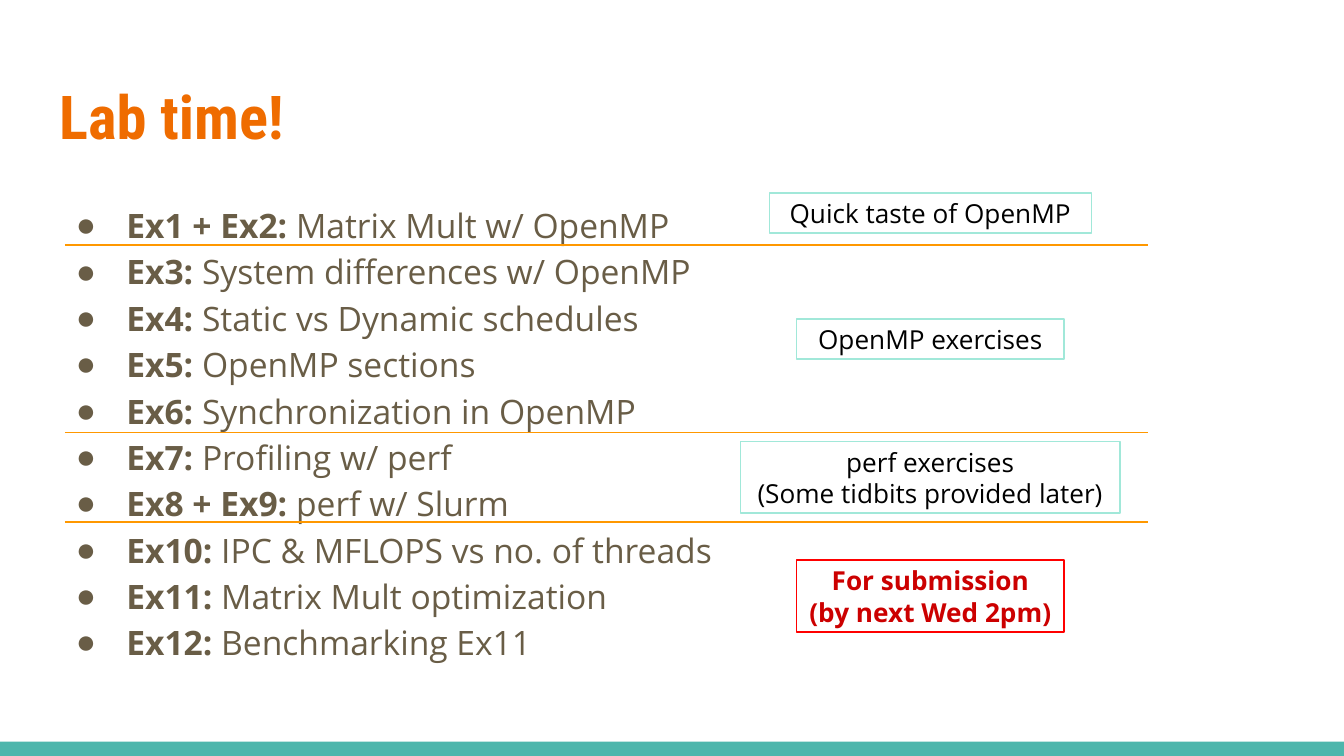
"""Build the lab exercise overview slide."""
from dataclasses import dataclass

from lxml import etree
from pptx import Presentation
from pptx.dml.color import RGBColor
from pptx.enum import shapes, text
from pptx.oxml import ns
from pptx.util import Pt


@dataclass(frozen=True)
class Theme:
    heading_font: str = "Roboto Condensed"
    body_font: str = "Open Sans"
    title_size: float = 32.4
    body_size: float = 18
    callout_size: float = 14
    title: str = "EF6C00"
    body: str = "695D46"
    bar: str = "4DB6AC"
    rule: str = "FF9800"
    mint: str = "A1E8D9"
    red: str = "FF0000"
    dark_red: str = "CC0000"
    black: str = "000000"


@dataclass(frozen=True)
class Exercise:
    label: str
    topic: str


@dataclass(frozen=True)
class Callout:
    words: str
    top: float
    width: float
    height: float
    line: str
    color: str
    bold: bool = False


THEME = Theme()
WIDTH, HEIGHT = 720, 405
BAR_HEIGHT = 7.6
RULE_LEFT, RULE_RIGHT = 34.8, 615
RULES = (131.2, 231.8, 279.6)
CALLOUT_CENTER = 498.4

EXERCISES = (
    Exercise("Ex1 + Ex2:", "Matrix Mult w/ OpenMP"),
    Exercise("Ex3:", "System differences w/ OpenMP"),
    Exercise("Ex4:", "Static vs Dynamic schedules"),
    Exercise("Ex5:", "OpenMP sections"),
    Exercise("Ex6:", "Synchronization in OpenMP"),
    Exercise("Ex7:", "Profiling w/ perf"),
    Exercise("Ex8 + Ex9:", "perf w/ Slurm"),
    Exercise("Ex10:", "IPC & MFLOPS vs no. of threads"),
    Exercise("Ex11:", "Matrix Mult optimization"),
    Exercise("Ex12:", "Benchmarking Ex11"),
)

CALLOUTS = (
    Callout("Quick taste of OpenMP", 103.4, 172.6, 21.4, THEME.mint, THEME.black),
    Callout("OpenMP exercises", 170.9, 143.4, 21.4, THEME.mint, THEME.black),
    Callout("perf exercises\n(Some tidbits provided later)", 236.5, 203.2, 38.4,
            THEME.mint, THEME.black),
    Callout("For submission\v(by next Wed 2pm)", 300.1, 143.4, 38.4,
            THEME.red, THEME.dark_red, True),
)


def style(font, name: str, size: float, color: str, bold: bool | None = None) -> None:
    font.name, font.size, font.bold = name, Pt(size), bold
    font.color.rgb = RGBColor.from_string(color)


def place(sp, left: float, top: float, width: float, height: float) -> None:
    sp.left, sp.top, sp.width, sp.height = map(Pt, (left, top, width, height))


def set_margins(tf, margin: float) -> None:
    tf.margin_left = tf.margin_right = Pt(margin)
    tf.margin_top = tf.margin_bottom = Pt(margin)


def add_bullet(p, color: str) -> None:
    pr = p._p.get_or_add_pPr()
    pr.set("marL", str(Pt(36)))
    pr.set("indent", str(Pt(-27)))
    clr = etree.SubElement(pr, ns.qn("a:buClr"))
    etree.SubElement(clr, ns.qn("a:srgbClr"), val=color)
    etree.SubElement(pr, ns.qn("a:buChar"), char="●")


def fill_placeholder(sp, left: float, top: float, width: float, height: float):
    place(sp, left, top, width, height)
    tf = sp.text_frame
    tf.auto_size = text.MSO_AUTO_SIZE.NONE
    tf.vertical_anchor = text.MSO_ANCHOR.TOP
    set_margins(tf, 7.2)
    return tf


def add_title(s, words: str) -> None:
    tf = fill_placeholder(s.shapes.title, 24.5, 35.3, 671, 55.4)
    tf.text = words
    p = tf.paragraphs[0]
    p.alignment = text.PP_ALIGN.LEFT
    style(p.font, THEME.heading_font, THEME.title_size, THEME.title, True)


def add_exercises(s, exercises: tuple[Exercise, ...]) -> None:
    tf = fill_placeholder(s.placeholders[1], 24.5, 99.4, 382.3, 264.2)
    for i, exercise in enumerate(exercises):
        p = tf.add_paragraph() if i else tf.paragraphs[0]
        add_bullet(p, THEME.body)
        p.line_spacing, p.space_before = 1.15, Pt(0)
        style(p.font, THEME.body_font, THEME.body_size, THEME.body)
        r = p.add_run()
        r.text, r.font.bold = exercise.label, True
        p.add_run().text = f" {exercise.topic}"


def add_callout(s, callout: Callout) -> None:
    sp = s.shapes.add_shape(shapes.MSO_SHAPE.RECTANGLE, 0, 0, 0, 0)
    place(sp, CALLOUT_CENTER - callout.width / 2, callout.top, callout.width, callout.height)
    sp.shadow.inherit = False
    sp.fill.background()
    sp.line.color.rgb = RGBColor.from_string(callout.line)
    sp.line.width = Pt(0.75)
    tf = sp.text_frame
    tf.text = callout.words
    tf.word_wrap = True
    tf.auto_size = text.MSO_AUTO_SIZE.SHAPE_TO_FIT_TEXT
    tf.vertical_anchor = text.MSO_ANCHOR.MIDDLE
    set_margins(tf, 2)
    for p in tf.paragraphs:
        p.alignment = text.PP_ALIGN.CENTER
        style(p.font, THEME.body_font, THEME.callout_size, callout.color, callout.bold)
        for r in p.runs:
            r.font.color.rgb = RGBColor.from_string(callout.color)


def add_rule(s, y: float) -> None:
    rule = s.shapes.add_connector(shapes.MSO_CONNECTOR.STRAIGHT,
                                  Pt(RULE_LEFT), Pt(y), Pt(RULE_RIGHT), Pt(y))
    rule.line.color.rgb = RGBColor.from_string(THEME.rule)
    rule.line.width = Pt(0.75)
    etree.SubElement(rule._element.spPr, ns.qn("a:effectLst"))


def add_bar(s) -> None:
    sp = s.shapes.add_shape(shapes.MSO_SHAPE.RECTANGLE, 0, 0, 0, 0)
    place(sp, 0, HEIGHT - BAR_HEIGHT, WIDTH, BAR_HEIGHT)
    sp.shadow.inherit = False
    sp.fill.solid()
    sp.fill.fore_color.rgb = RGBColor.from_string(THEME.bar)
    sp.line.fill.background()


def main() -> None:
    prs = Presentation()
    prs.slide_width, prs.slide_height = Pt(WIDTH), Pt(HEIGHT)
    s = prs.slides.add_slide(prs.slide_layouts[1])
    add_bar(s)
    add_title(s, "Lab time!")
    add_exercises(s, EXERCISES)
    for callout in CALLOUTS:
        add_callout(s, callout)
    for y in RULES:
        add_rule(s, y)
    prs.save("out.pptx")


if __name__ == "__main__":
    main()
